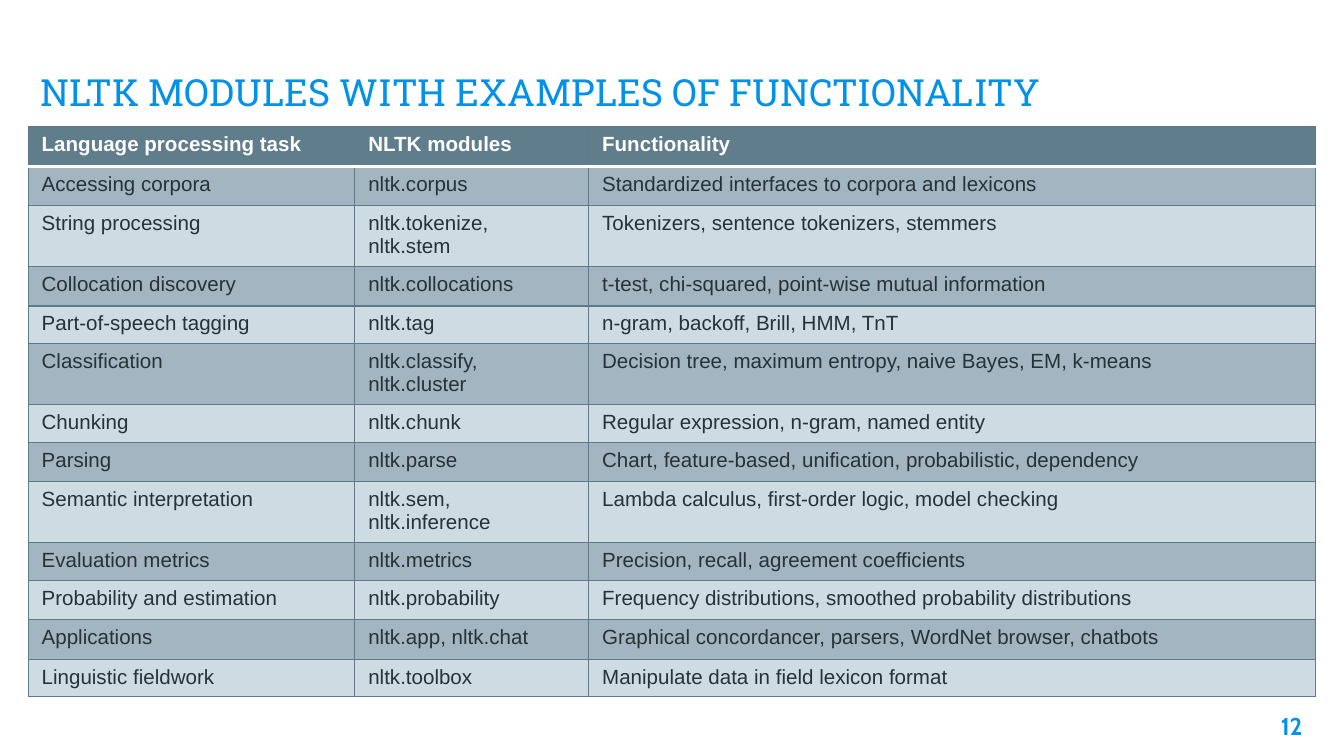
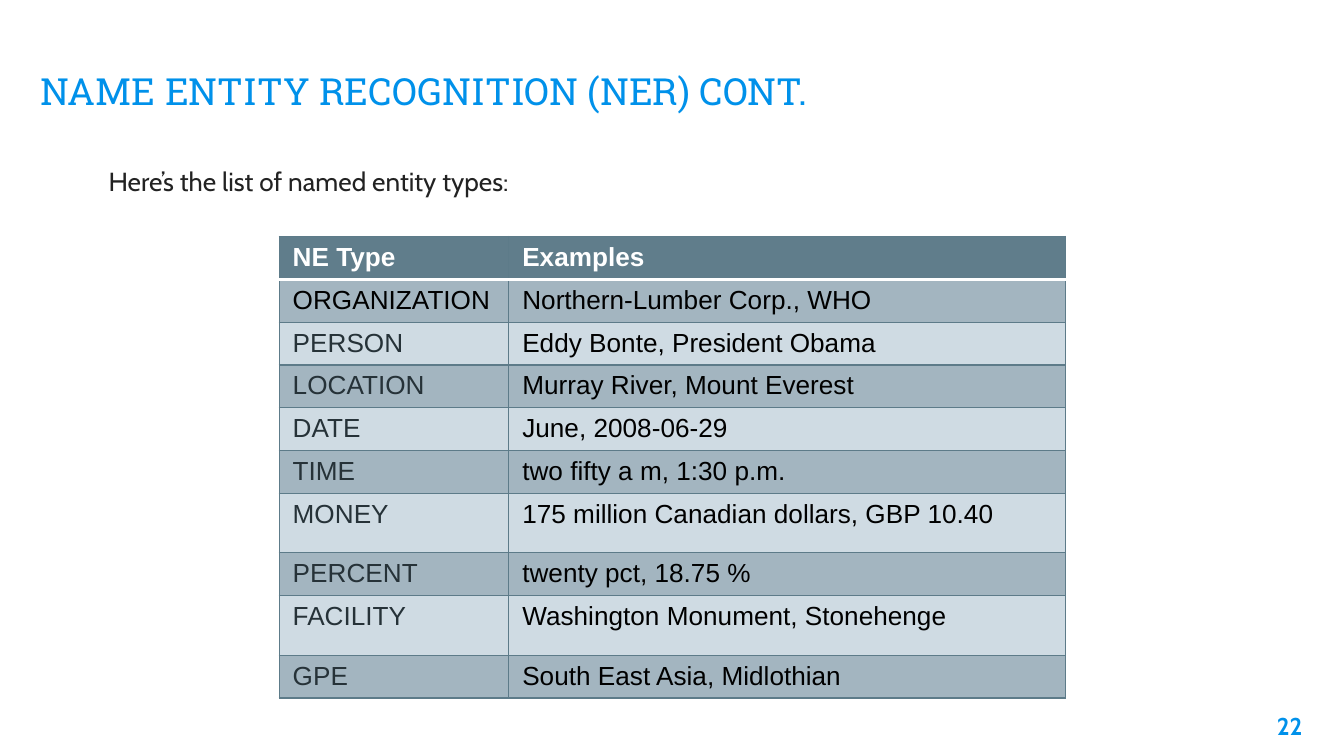
"""Builds two slides with tables on language processing modules and named entity types."""
from lxml.etree import SubElement
from pptx import Presentation
from pptx.dml.color import RGBColor
from pptx.enum.text import MSO_ANCHOR, MSO_AUTO_SIZE, PP_ALIGN
from pptx.oxml.ns import qn
from pptx.util import Pt

ACCENT = RGBColor(0x00, 0x91, 0xEA)
INK = RGBColor(0x26, 0x32, 0x38)
BODY_INK = RGBColor(0x22, 0x22, 0x22)
BLACK = RGBColor(0x00, 0x00, 0x00)
WHITE = RGBColor(0xFF, 0xFF, 0xFF)
HEADER = RGBColor(0x60, 0x7D, 0x8B)
BAND_DARK = RGBColor(0xA3, 0xB5, 0xC0)
BAND_LIGHT = RGBColor(0xCF, 0xDB, 0xE3)
GRID = RGBColor(0x5D, 0x7B, 0x89)

MODULE_ROWS = [
    ("Language processing task", "NLTK modules", "Functionality"),
    ("Accessing corpora", "nltk.corpus", "Standardized interfaces to corpora and lexicons"),
    ("String processing", "nltk.tokenize, nltk.stem", "Tokenizers, sentence tokenizers, stemmers"),
    ("Collocation discovery", "nltk.collocations", "t-test, chi-squared, point-wise mutual information"),
    ("Part-of-speech tagging", "nltk.tag", "n-gram, backoff, Brill, HMM, TnT"),
    ("Classification", "nltk.classify, nltk.cluster", "Decision tree, maximum entropy, naive Bayes, EM, k-means"),
    ("Chunking", "nltk.chunk", "Regular expression, n-gram, named entity"),
    ("Parsing", "nltk.parse", "Chart, feature-based, unification, probabilistic, dependency"),
    ("Semantic interpretation", "nltk.sem, nltk.inference", "Lambda calculus, first-order logic, model checking"),
    ("Evaluation metrics", "nltk.metrics", "Precision, recall, agreement coefficients"),
    ("Probability and estimation", "nltk.probability", "Frequency distributions, smoothed probability distributions"),
    ("Applications", "nltk.app, nltk.chat", "Graphical concordancer, parsers, WordNet browser, chatbots"),
    ("Linguistic fieldwork", "nltk.toolbox", "Manipulate data in field lexicon format"),
]
MODULE_HEIGHTS = [21.1, 21.1, 32.7, 21.1, 20.2, 32.7, 20.2, 21.1, 32.7, 20.2, 21.1, 21.1, 20.2]

ENTITY_ROWS = [
    ("NE Type", "Examples"),
    ("ORGANIZATION", "Northern-Lumber Corp., WHO"),
    ("PERSON", "Eddy Bonte, President Obama"),
    ("LOCATION", "Murray River, Mount Everest"),
    ("DATE", "June, 2008-06-29"),
    ("TIME", "two fifty a m, 1:30 p.m."),
    ("MONEY", "175 million Canadian dollars, GBP 10.40"),
    ("PERCENT", "twenty pct, 18.75 %"),
    ("FACILITY", "Washington Monument, Stonehenge"),
    ("GPE", "South East Asia, Midlothian"),
]
TALL_ENTITIES = {"MONEY", "FACILITY"}


def write(frame, text, font="Arial", size=14, color=INK, bold=False, align=PP_ALIGN.LEFT):
    """Put one formatted paragraph into a text frame."""
    paragraph = frame.paragraphs[0]
    paragraph.alignment = align
    run = paragraph.add_run()
    run.text = text
    run.font.name = font
    run.font.size = Pt(size)
    run.font.bold = bold
    run.font.color.rgb = color


def border(cell, side, color=GRID, width=0.75):
    """Draw one border of a table cell."""
    line = SubElement(cell._tc.get_or_add_tcPr(), qn(f"a:ln{side}"), w=str(Pt(width)))
    SubElement(SubElement(line, qn("a:solidFill")), qn("a:srgbClr"), val=str(color))


def module_color(row, column):
    """Give the text colour of a cell in the module table."""
    return INK


def entity_color(row, column):
    """Give the text colour of a cell in the entity table."""
    return INK if column == 0 and row > 1 else BLACK


class Deck:
    """Holds the shared style and the current slide."""

    def __init__(self):
        """Open an empty widescreen presentation."""
        self.presentation = Presentation()
        self.presentation.slide_width = Pt(720)
        self.presentation.slide_height = Pt(405)
        self.slide = None

    def start(self, heading, number, top, width):
        """Add a slide with its heading and page number."""
        self.slide = self.presentation.slides.add_slide(self.presentation.slide_layouts[5])
        title = self.slide.shapes.title
        title.left, title.top, title.width, title.height = Pt(14.4), Pt(top), Pt(width), Pt(55.4)
        self.fit(title.text_frame, 7.2, MSO_ANCHOR.BOTTOM)
        write(title.text_frame, heading, font="Roboto Slab", size=20, color=ACCENT)
        self.text(number, 661.7, 373.7, 43.2, 31, inset=7.2,
                  size=13, color=ACCENT, bold=True, align=PP_ALIGN.RIGHT)

    def fit(self, frame, inset, anchor=MSO_ANCHOR.TOP):
        """Set wrapping, vertical insets and anchor of a text frame."""
        frame.word_wrap = True
        frame.auto_size = MSO_AUTO_SIZE.NONE
        frame.vertical_anchor = anchor
        frame.margin_left = frame.margin_right = Pt(7.2)
        frame.margin_top = frame.margin_bottom = Pt(inset)

    def text(self, content, left, top, width, height, inset=3.6, **style):
        """Add a text box in the body font."""
        box = self.slide.shapes.add_textbox(Pt(left), Pt(top), Pt(width), Pt(height))
        self.fit(box.text_frame, inset)
        write(box.text_frame, content, font="Cabin", **style)

    def table(self, rows, left, top, widths, heights, size, color_at):
        """Add a banded table with a dark header row."""
        table = self.slide.shapes.add_table(
            len(rows), len(widths), Pt(left), Pt(top), Pt(sum(widths)), Pt(sum(heights))).table
        for column, width in zip(table.columns, widths):
            column.width = Pt(width)
        for r, (values, height) in enumerate(zip(rows, heights)):
            table.rows[r].height = Pt(height)
            for c, value in enumerate(values):
                color = color_at(r, c) if r else WHITE
                self.cell(table.cell(r, c), r, value, size, color)

    def cell(self, cell, row, value, size, color):
        """Format and fill one table cell."""
        cell.margin_left = cell.margin_right = Pt(7.2)
        cell.margin_top = cell.margin_bottom = Pt(3.4)
        rule = {"color": WHITE, "width": 2}
        border(cell, "L")
        border(cell, "R")
        border(cell, "T", **(rule if row == 1 else {}))
        border(cell, "B", **(rule if row == 0 else {}))
        cell.fill.solid()
        band = BAND_DARK if row % 2 else BAND_LIGHT
        cell.fill.fore_color.rgb = band if row else HEADER
        write(cell.text_frame, value, size=size, color=color, bold=row == 0)


def main():
    """Build both slides and save them."""
    deck = Deck()
    deck.start("NLTK MODULES WITH EXAMPLES OF FUNCTIONALITY", "12", 13, 705.6)
    deck.table(MODULE_ROWS, 15.1, 68, [175, 125.3, 389.5], MODULE_HEIGHTS, 11, module_color)

    deck.start("NAME ENTITY RECOGNITION (NER) CONT.", "22", 12.2, 596.2)
    entity_heights = [31.9 if name in TALL_ENTITIES else 22.95 for name, _ in ENTITY_ROWS]
    deck.table(ENTITY_ROWS, 149.6, 126.7, [123, 298.2], entity_heights, 14, entity_color)
    deck.text("Here’s the list of named entity types:", 51.1, 85, 348.5, 24.5, color=BODY_INK)
    deck.presentation.save("out.pptx")


if __name__ == "__main__":
    main()
